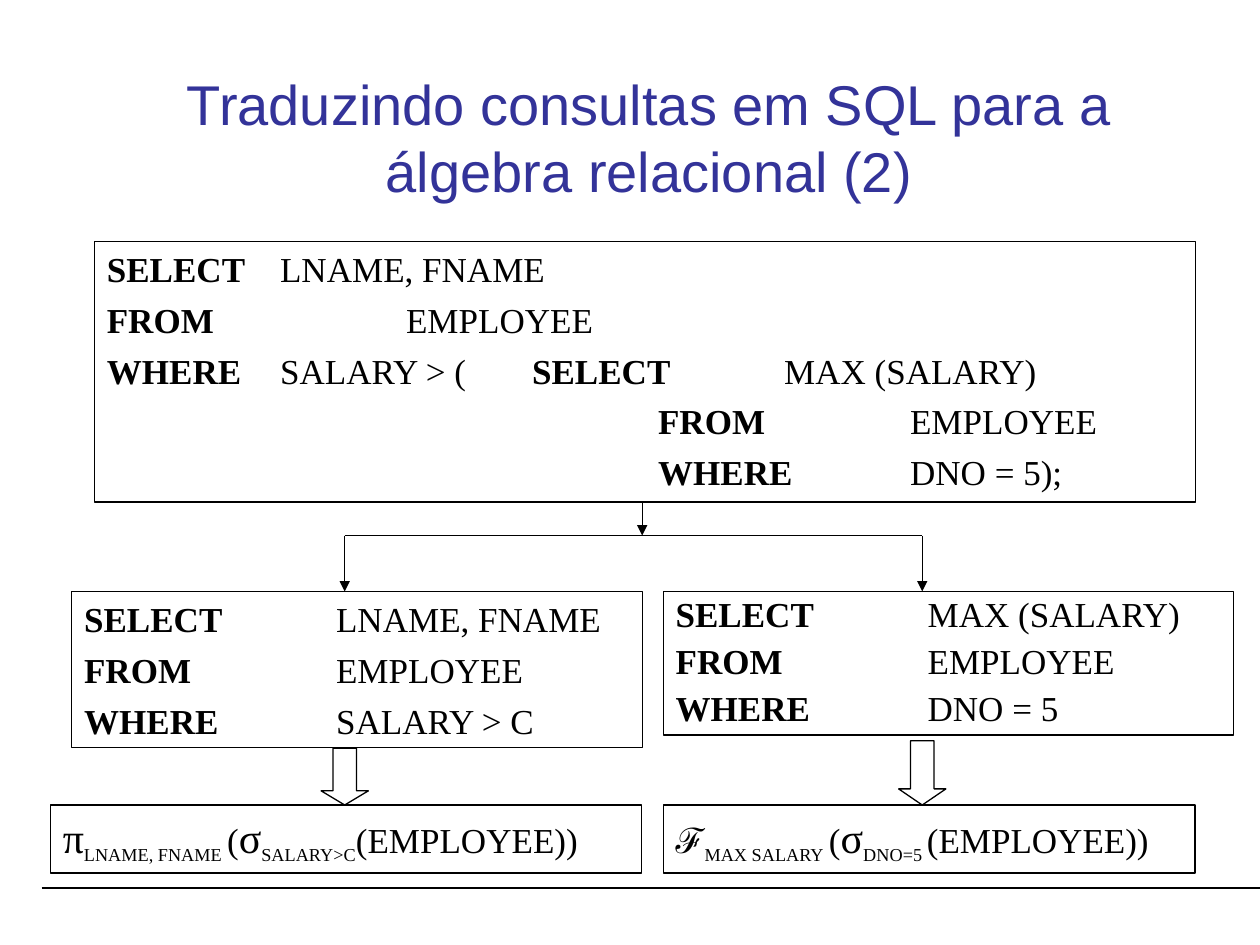
from dataclasses import dataclass
from typing import Optional

from lxml import etree
from pptx import Presentation
from pptx import util as u
from pptx.dml.color import RGBColor
from pptx.enum import shapes, text
from pptx.oxml.ns import qn

Pt = u.Pt
BLACK = RGBColor(0x00, 0x00, 0x00)
INDIGO = RGBColor(0x33, 0x33, 0x99)
SERIF, SANS = "Times New Roman", "Arial"
LINE_WIDTH = 0.75
TAB_STEP = 72


@dataclass
class Span:
    words: str
    size: float = 20
    bold: bool = False
    font: str = SERIF
    color: RGBColor = BLACK
    baseline: int = 0


@dataclass
class Box:
    left: float
    top: float
    width: float
    height: float
    lines: list[list[Span]]
    before: float = 5
    spacing: Optional[float] = None
    hanging: float = 0
    outlined: bool = True
    grow: bool = False
    anchor: text.MSO_ANCHOR = text.MSO_ANCHOR.TOP
    align: text.PP_ALIGN = text.PP_ALIGN.LEFT


@dataclass
class Line:
    x1: float
    y1: float
    x2: float
    y2: float
    arrow: bool = False


@dataclass
class BlockArrow:
    left: float
    top: float
    width: float
    height: float
    head: float


def sql(*parts: str) -> list[Span]:
    """Keywords and operands take turns, keywords in bold."""
    return [Span(part, bold=i % 2 == 0) for i, part in enumerate(parts)]


def sub(words: str, size: float = 18) -> Span:
    return Span(words, size, baseline=-25000)


def greek(letter: str) -> Span:
    return Span(letter, 24)


def outline(shape) -> None:
    shape.shadow.inherit = False
    shape.fill.background()
    shape.line.color.rgb = BLACK
    shape.line.width = Pt(LINE_WIDTH)


def write_span(para, item: Span) -> None:
    span = para.add_run()
    span.text = item.words
    formats = {"size": Pt(item.size), "bold": item.bold, "name": item.font}
    for name, value in formats.items():
        setattr(span.font, name, value)
    span.font.color.rgb = item.color
    if item.baseline:
        span.font._element.set("baseline", str(item.baseline))


def format_para(para, box: Box) -> None:
    formats = {"alignment": box.align, "space_before": Pt(box.before),
               "line_spacing": box.spacing}
    for name, value in formats.items():
        setattr(para, name, value)
    indents = {"marL": box.hanging, "indent": -box.hanging, "defTabSz": TAB_STEP}
    for name, value in indents.items():
        para._p.get_or_add_pPr().set(name, str(Pt(value)))


def draw_box(page, box: Box) -> None:
    place = [Pt(v) for v in (box.left, box.top, box.width, box.height)]
    if box.outlined:
        shape = page.shapes.add_shape(shapes.MSO_SHAPE.RECTANGLE, *place)
        outline(shape)
    else:
        shape = page.shapes.add_textbox(*place)
    fit = text.MSO_AUTO_SIZE.SHAPE_TO_FIT_TEXT if box.grow else text.MSO_AUTO_SIZE.NONE
    frame = shape.text_frame
    formats = {"word_wrap": True, "auto_size": fit, "vertical_anchor": box.anchor}
    for name, value in formats.items():
        setattr(frame, name, value)
    for i, spans in enumerate(box.lines):
        para = frame.add_paragraph() if i else frame.paragraphs[0]
        format_para(para, box)
        for item in spans:
            write_span(para, item)


def draw_line(page, line: Line) -> None:
    ends = [Pt(v) for v in (line.x1, line.y1, line.x2, line.y2)]
    connector = page.shapes.add_connector(shapes.MSO_CONNECTOR.STRAIGHT, *ends)
    connector.line.color.rgb = BLACK
    connector.line.width = Pt(LINE_WIDTH)
    if line.arrow:
        etree.SubElement(connector.line._get_or_add_ln(), qn("a:tailEnd"), type="triangle")
    etree.SubElement(connector._element.spPr, qn("a:effectLst"))


def draw_block_arrow(page, arrow: BlockArrow) -> None:
    place = [Pt(v) for v in (arrow.left, arrow.top, arrow.width, arrow.height)]
    shape = page.shapes.add_shape(shapes.MSO_SHAPE.DOWN_ARROW, *place)
    shape.adjustments[0], shape.adjustments[1] = 0.5, arrow.head
    outline(shape)


# Shared positions
LEFT_X, MIDDLE_X, RIGHT_X = 197, 367, 527
QUERY_BOTTOM, BRANCH_Y, BLOCK_Y, FORMULA_Y = 287, 306, 338, 460
RIGHT_BOX = 379
ARROW_WIDTH = 27
INNER = "\t" * 5

BOXES = [
    # Title
    Box(76, 33, 590, 90,
        [[Span("Traduzindo consultas em SQL para a álgebra relacional (2)",
               32, font=SANS, color=INDIGO)]],
        before=0, outlined=False, anchor=text.MSO_ANCHOR.MIDDLE,
        align=text.PP_ALIGN.CENTER),
    # Nested query
    Box(54, 138, 629, 149,
        [sql("SELECT \t", "LNAME, FNAME"),
         sql("FROM \t\t", "EMPLOYEE"),
         sql("WHERE \t", "SALARY > (\t", "SELECT\t", "MAX (SALARY)"),
         sql(INNER + "FROM\t\t", "EMPLOYEE"),
         sql(INNER + "WHERE \t", "DNO = 5);")],
        hanging=27),
    # Outer and inner blocks
    Box(41, BLOCK_Y, 326, 89.3,
        [sql("SELECT \t", "LNAME, FNAME"),
         sql("FROM \t\t", "EMPLOYEE"),
         sql("WHERE \t", "SALARY > C")], grow=True),
    Box(RIGHT_BOX, BLOCK_Y, 326, 82,
        [sql("SELECT\t", "MAX (SALARY)"),
         sql("FROM\t\t", "EMPLOYEE"),
         sql("WHERE \t", "DNO = 5")], spacing=0.9, grow=True),
    # Relational algebra
    Box(28.8, FORMULA_Y, 338, 38.8,
        [[greek("π"), sub("LNAME, FNAME"), sub(" ", 20), Span("("), greek("σ"),
          sub("SALARY>C"), Span("(EMPLOYEE))")]], before=12.5, grow=True),
    Box(RIGHT_BOX, FORMULA_Y, 304, 38.8,
        [[Span("ℱ", font=SANS), sub("MAX SALARY"), sub(" ", 20), Span("("),
          greek("σ"), sub("DNO=5 "), Span("(EMPLOYEE))")]], before=12.5, grow=True),
]
LINES = [
    Line(23.75, 507.4, 720, 507.4),  # footer rule
    Line(LEFT_X, BRANCH_Y, RIGHT_X, BRANCH_Y),
    Line(MIDDLE_X, QUERY_BOTTOM, MIDDLE_X, BRANCH_Y, arrow=True),
    *(Line(x, BRANCH_Y, x, BLOCK_Y, arrow=True) for x in (LEFT_X, RIGHT_X)),
]
BLOCK_ARROWS = [
    BlockArrow(x - ARROW_WIDTH / 2, FORMULA_Y - height, ARROW_WIDTH, height, head)
    for x, height, head in ((LEFT_X, 32.4, 0.3), (RIGHT_X, 36.7, 0.34))
]


def main() -> None:
    deck = Presentation()
    deck.slide_width, deck.slide_height = Pt(720), Pt(540)
    page = deck.slides.add_slide(deck.slide_layouts[6])
    for box in BOXES:
        draw_box(page, box)
    for line in LINES:
        draw_line(page, line)
    for arrow in BLOCK_ARROWS:
        draw_block_arrow(page, arrow)
    deck.save("out.pptx")


if __name__ == "__main__":
    main()
